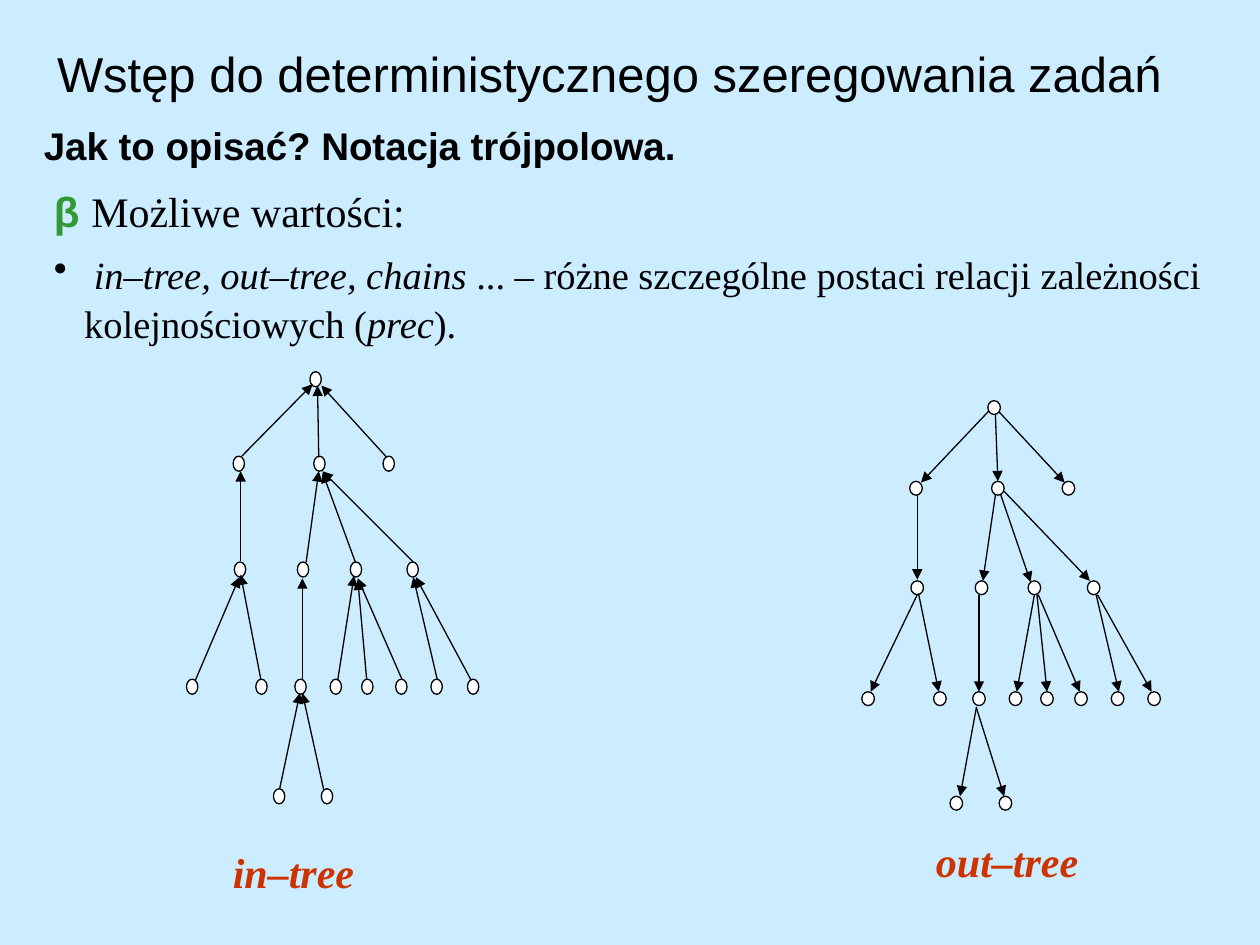
from dataclasses import dataclass

import pptx
import pptx.dml.color
import pptx.enum.shapes
import pptx.enum.text
import pptx.oxml
import pptx.oxml.ns
import pptx.util

Inches = pptx.util.Inches
Pt = pptx.util.Pt
Box = tuple[float, float, float, float]

COLOURS = {
    "background": "CCECFF",
    "ink": "000000",
    "node": "FFFFFF",
    "beta": "339933",
    "caption": "CC3300",
}
SANS, SERIF = "Arial", "Times New Roman"


@dataclass(frozen=True)
class Span:
    text: str
    size: float
    font: str = SERIF
    colour: str = "ink"
    bold: bool = False
    italic: bool = False


@dataclass(frozen=True)
class Para:
    spans: list[Span]
    format: dict
    bullet: bool = False


@dataclass(frozen=True)
class Tree:
    name: str
    caption_box: Box
    node_size: tuple[float, float]
    levels: dict[float, list[float]]
    arrows: list[Box]


OUT_TREE = Tree(
    "out–tree",
    (7.33, 6.58, 1.83, 0.5),
    (0.1, 0.11),
    {
        3.18: [7.84],
        3.82: [7.22, 7.87, 8.43],
        4.61: [7.23, 7.74, 8.16, 8.63],
        5.49: [6.84, 7.41, 7.72, 8.01, 8.26, 8.53, 8.82, 9.11],
        6.32: [7.54, 7.93],
    },
    [
        (7.85, 3.26, 7.31, 3.83), (7.9, 3.29, 7.92, 3.82), (7.93, 3.27, 8.45, 3.83),
        (7.28, 3.93, 7.28, 4.6), (7.9, 3.93, 7.8, 4.61),
        (7.94, 3.92, 8.18, 4.62), (7.97, 3.9, 8.65, 4.61),
        (7.28, 4.72, 6.91, 5.49), (7.29, 4.71, 7.45, 5.49), (7.77, 4.72, 7.77, 5.49),
        (8.21, 4.72, 8.07, 5.49), (8.23, 4.72, 8.31, 5.49), (8.24, 4.72, 8.57, 5.49),
        (8.7, 4.72, 8.88, 5.49), (8.71, 4.72, 9.14, 5.49),
        (7.75, 5.61, 7.62, 6.32), (7.75, 5.62, 7.97, 6.32),
    ],
)
IN_TREE = Tree(
    "in–tree",
    (1.75, 6.67, 1.83, 0.5),
    (0.09, 0.12),
    {
        2.95: [2.46],
        3.62: [1.85, 2.49, 3.04],
        4.46: [1.86, 2.36, 2.78, 3.23],
        5.39: [1.48, 2.03, 2.34, 2.62, 2.87, 3.14, 3.42, 3.71],
        6.26: [2.17, 2.55],
    },
    [
        (1.92, 3.62, 2.48, 3.05), (2.53, 3.63, 2.52, 3.06), (3.07, 3.63, 2.55, 3.06),
        (1.91, 4.45, 1.91, 3.74), (2.43, 4.46, 2.53, 3.74),
        (2.82, 4.46, 2.56, 3.75), (3.28, 4.46, 2.56, 3.74),
        (1.55, 5.4, 1.9, 4.58), (2.07, 5.39, 1.91, 4.56), (2.4, 5.39, 2.4, 4.59),
        (2.68, 5.4, 2.81, 4.57), (2.91, 5.39, 2.84, 4.6), (3.19, 5.39, 2.84, 4.59),
        (3.47, 5.39, 3.28, 4.58), (3.74, 5.4, 3.3, 4.58),
        (2.22, 6.26, 2.38, 5.5), (2.57, 6.27, 2.4, 5.5),
    ],
)


def colour(name: str) -> pptx.dml.color.RGBColor:
    """Return the named colour."""
    return pptx.dml.color.RGBColor.from_string(COLOURS[name])


def apply(target, values: dict) -> None:
    """Set each attribute in values on the target."""
    for name, value in values.items():
        setattr(target, name, value)


def append_element(parent, tag: str, **attributes: str) -> None:
    """Append a drawing element with the given attributes."""
    element = pptx.oxml.parse_xml(f"<a:{tag} {pptx.oxml.ns.nsdecls('a')}/>")
    for name, value in attributes.items():
        element.set(name, value)
    parent.append(element)


def add_text(shapes, box: Box, paras: list[Para], middle: bool = False) -> None:
    """Add a wrapped text box with formatted paragraphs."""
    frame = shapes.add_textbox(*map(Inches, box)).text_frame
    anchors = pptx.enum.text.MSO_ANCHOR
    apply(frame, {
        "word_wrap": True,
        "vertical_anchor": anchors.MIDDLE if middle else anchors.TOP,
    })
    for index, para in enumerate(paras):
        paragraph = frame.add_paragraph() if index else frame.paragraphs[0]
        apply(paragraph, para.format)
        if para.bullet:
            properties = paragraph._p.get_or_add_pPr()
            apply_indent = {"marL": Inches(0.24), "indent": Inches(-0.24)}
            for name, value in apply_indent.items():
                properties.set(name, str(value))
            append_element(properties, "buChar", char="•")
        for span in para.spans:
            run = paragraph.add_run()
            run.text = span.text
            apply(run.font, {
                "name": span.font,
                "size": Pt(span.size),
                "bold": span.bold,
                "italic": span.italic,
            })
            run.font.color.rgb = colour(span.colour)


def style_line(line) -> None:
    """Give a line the thin ink stroke."""
    line.width = Pt(0.75)
    line.color.rgb = colour("ink")


def add_arrow(shapes, ends: Box) -> None:
    """Add a straight arrow pointing at its second end."""
    arrow = shapes.add_connector(
        pptx.enum.shapes.MSO_CONNECTOR.STRAIGHT, *map(Inches, ends))
    style_line(arrow.line)
    append_element(arrow.line._get_or_add_ln(), "tailEnd", type="triangle")
    append_element(arrow._element.spPr, "effectLst")


def add_node(shapes, box: Box) -> None:
    """Add one tree node."""
    node = shapes.add_shape(pptx.enum.shapes.MSO_SHAPE.OVAL, *map(Inches, box))
    node.shadow.inherit = False
    node.fill.solid()
    node.fill.fore_color.rgb = colour("node")
    style_line(node.line)


def add_tree(page, tree: Tree) -> None:
    """Draw a tree with its caption as one group."""
    shapes = page.shapes.add_group_shape().shapes
    for top, lefts in tree.levels.items():
        for left in lefts:
            add_node(shapes, (left, top, *tree.node_size))
    for ends in tree.arrows:
        add_arrow(shapes, ends)
    caption = Span(tree.name, 24, colour="caption", bold=True, italic=True)
    add_text(shapes, tree.caption_box, [Para([caption], {})])


def main() -> None:
    """Build and save the deck."""
    deck = pptx.Presentation()
    apply(deck, {"slide_width": Inches(10), "slide_height": Inches(7.5)})
    page = deck.slides.add_slide(deck.slide_layouts[6])
    page.background.fill.solid()
    page.background.fill.fore_color.rgb = colour("background")
    align = pptx.enum.text.PP_ALIGN
    title = Span("Wstęp do deterministycznego szeregowania zadań", 28, SANS)
    add_text(page.shapes, (0, 0.08, 9.67, 1),
             [Para([title], {"alignment": align.CENTER})], middle=True)
    heading = Span("Jak to opisać? Notacja trójpolowa.", 22, SANS, bold=True)
    add_text(page.shapes, (0.25, 0.92, 8.58, 0.47),
             [Para([heading], {"alignment": align.JUSTIFY})])
    add_text(page.shapes, (0.33, 1.42, 9.42, 1.33), [
        Para([Span("β ", 24, SANS, "beta", bold=True),
              Span("Możliwe wartości:", 24)], {}),
        Para([
            Span(" in–tree, out–tree, chains", 22, italic=True),
            Span(" ... – różne szczególne postaci relacji zależności kolejnościowych (", 22),
            Span("prec", 22, italic=True),
            Span(").", 22),
        ], {"space_before": Pt(6.9), "line_spacing": 1.07}, bullet=True),
    ])
    for tree in (OUT_TREE, IN_TREE):
        add_tree(page, tree)
    deck.save("out.pptx")


if __name__ == "__main__":
    main()
